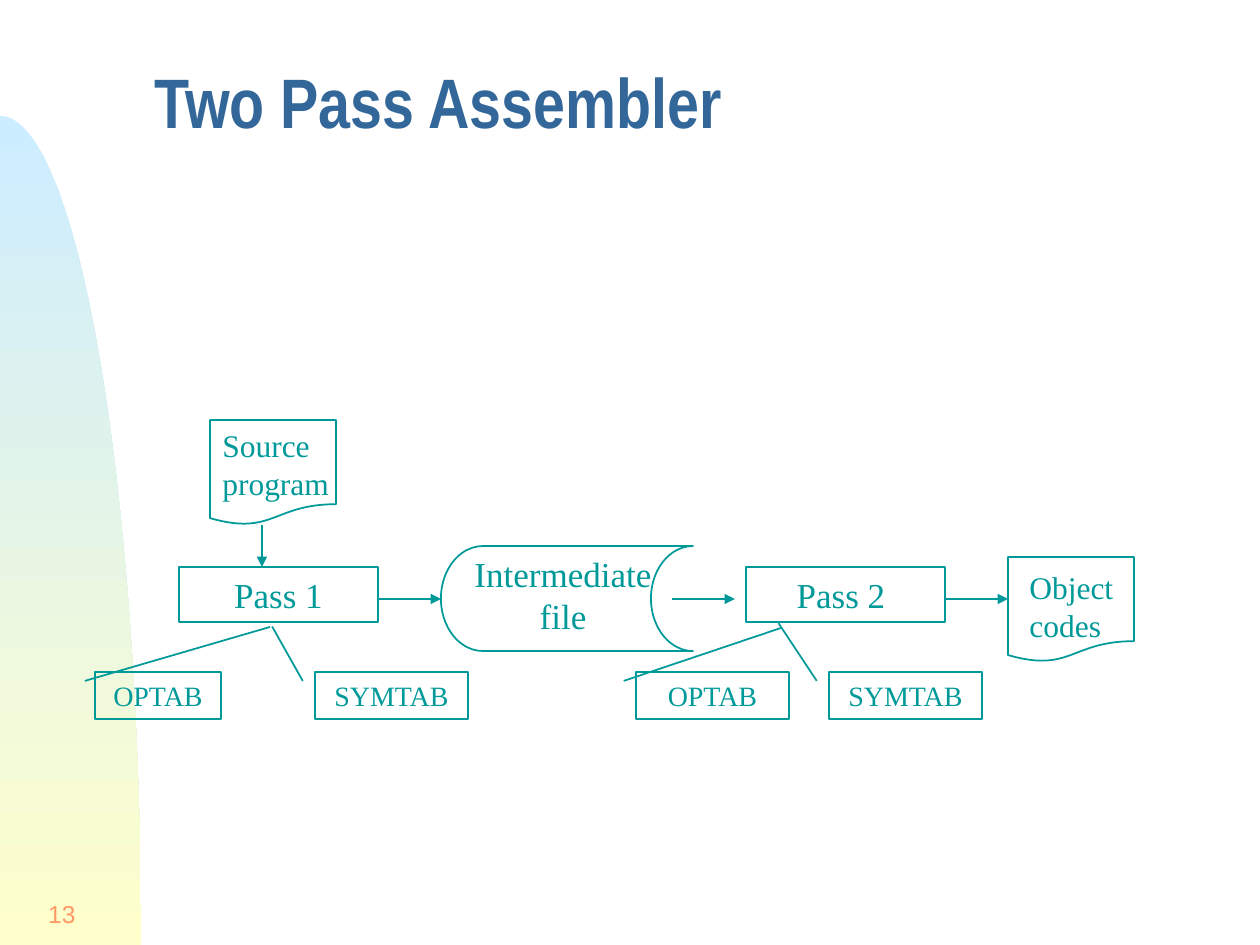
"""Build the slide on the two pass assembler as a flow of files and passes."""
from dataclasses import dataclass
from math import cos, pi, sin
from typing import NamedTuple

from pptx import Presentation
from pptx.dml.color import RGBColor
from pptx.enum.shapes import MSO_CONNECTOR, MSO_SHAPE
from pptx.enum.text import MSO_ANCHOR, PP_ALIGN
from pptx.oxml.ns import qn
from pptx.util import Pt
from lxml.etree import SubElement

SCALE = 914400 / 126
WIDTH, HEIGHT = 1260, 945
COLORS = {"teal": "009999", "blue": "336699", "peach": "FF9966",
          "sky": "CCECFF", "cream": "FFFFCC"}
SERIF = "Times New Roman"


@dataclass(frozen=True)
class Style:
    """How a block of text looks."""
    size: int
    font: str = SERIF
    color: str = "teal"
    bold: bool = False
    align: PP_ALIGN = PP_ALIGN.CENTER
    anchor: MSO_ANCHOR = MSO_ANCHOR.TOP
    wrap: bool = True
    before: float = 0
    spacing: float = 1.0


@dataclass(frozen=True)
class Label:
    """A text box with one line per paragraph."""
    x: int
    y: int
    w: int
    h: int
    lines: tuple[str, ...]
    style: Style


@dataclass(frozen=True)
class Box:
    """An outlined shape, with text if it has any."""
    kind: MSO_SHAPE
    x: int
    y: int
    w: int
    h: int
    text: str = ""
    style: Style | None = None
    bends: tuple[float, ...] = ()


class Arrow(NamedTuple):
    """A line with a head at its end."""
    x1: int
    y1: int
    x2: int
    y2: int


PASS = Style(20, before=12.5)
TABLE = Style(16)
NOTE = Style(18, align=PP_ALIGN.LEFT, wrap=False)
TITLE = Style(40, "Arial Narrow", "blue", True, PP_ALIGN.LEFT,
              MSO_ANCHOR.MIDDLE, spacing=0.7)
NUMBER = Style(14, "Arial", "peach", align=PP_ALIGN.RIGHT,
               anchor=MSO_ANCHOR.MIDDLE, wrap=False)

RECT, PAGE = MSO_SHAPE.RECTANGLE, MSO_SHAPE.FLOWCHART_DOCUMENT
STORE, CALL = MSO_SHAPE.FLOWCHART_STORED_DATA, MSO_SHAPE.LINE_CALLOUT_1

BOXES = [
    Box(RECT, 179, 567, 199, 55, "Pass 1", PASS),
    Box(RECT, 746, 567, 199, 55, "Pass 2 ", PASS),
    Box(STORE, 441, 546, 252, 105),
    Box(PAGE, 210, 420, 126, 105),
    Box(PAGE, 1008, 557, 126, 105),
    Box(CALL, 95, 672, 126, 47, "OPTAB", TABLE, (0.19, -0.08, -0.96, 1.39)),
    Box(CALL, 315, 672, 153, 47, "SYMTAB", TABLE, (0.19, -0.08, -0.97, -0.28)),
    Box(CALL, 829, 672, 153, 47, "SYMTAB", TABLE, (0.19, -0.08, -1.04, -0.33)),
    Box(CALL, 636, 672, 153, 47, "OPTAB", TABLE, (0.19, -0.08, -0.94, 0.95)),
]
LABELS = [
    Label(0, 882, 88, 63, ("13",), NUMBER),
    Label(142, 45, 1086, 132, ("Two Pass Assembler",), TITLE),
    Label(460, 546, 206, 97, ("Intermediate", "file"), Style(20, wrap=False)),
    Label(1017, 562, 117, 88, ("Object", "codes"), NOTE),
    Label(210, 420, 138, 88, ("Source", "program"), NOTE),
]
ARROWS = [Arrow(x, 599, x + 63, 599) for x in (378, 672, 945)]
ARROWS.append(Arrow(262, 525, 262, 567))


def emu(px: float) -> int:
    """Turn px into EMU."""
    return round(px * SCALE)


def tint(name: str) -> RGBColor:
    """Look up a colour by name."""
    return RGBColor.from_string(COLORS[name])


def write(frame, lines: tuple[str, ...], style: Style) -> None:
    """Fill a text frame, one paragraph per line."""
    frame.word_wrap = style.wrap
    frame.vertical_anchor = style.anchor
    for i, line in enumerate(lines):
        para = frame.paragraphs[0] if i == 0 else frame.add_paragraph()
        para.alignment = style.align
        para.space_before = Pt(style.before)
        para.line_spacing = style.spacing
        run = para.add_run()
        run.text = line
        run.font.name = style.font
        run.font.size = Pt(style.size)
        run.font.bold = style.bold
        run.font.color.rgb = tint(style.color)


def draw_hill(shapes, rx: int, ry: int, steps: int = 90) -> None:
    """Draw the shaded quarter oval at the left edge."""
    turns = [pi / 2 * i / steps for i in range(steps + 1)]
    points = [(emu(rx * sin(t)), emu(HEIGHT - ry * cos(t))) for t in turns]
    pen = shapes.build_freeform(*points[0])
    pen.add_line_segments(points[1:] + [(0, emu(HEIGHT))], close=True)
    hill = pen.convert_to_shape()
    hill.shadow.inherit = False
    hill.line.fill.background()
    hill.fill.gradient()
    hill.fill.gradient_angle = 270
    for stop, name in zip(hill.fill.gradient_stops, ("sky", "cream")):
        stop.color.rgb = tint(name)


def draw_box(shapes, box: Box) -> None:
    """Draw an outlined shape."""
    shape = shapes.add_shape(box.kind, *map(emu, (box.x, box.y, box.w, box.h)))
    shape.shadow.inherit = False
    shape.fill.background()
    shape.line.color.rgb = tint("teal")
    shape.line.width = Pt(1)
    for i, bend in enumerate(box.bends):
        shape.adjustments[i] = bend
    if box.style:
        write(shape.text_frame, (box.text,), box.style)


def draw_label(shapes, label: Label) -> None:
    """Draw a text box."""
    place = map(emu, (label.x, label.y, label.w, label.h))
    write(shapes.add_textbox(*place).text_frame, label.lines, label.style)


def draw_arrow(shapes, arrow: Arrow) -> None:
    """Draw a line with a head at its end."""
    line = shapes.add_connector(MSO_CONNECTOR.STRAIGHT, *map(emu, arrow))
    line.line.color.rgb = tint("teal")
    line.line.width = Pt(1)
    props = line._element.spPr
    SubElement(props.find(qn("a:ln")), qn("a:tailEnd"), type="triangle")
    SubElement(props, qn("a:effectLst"))


def main() -> None:
    """Build and save the deck."""
    deck = Presentation()
    deck.slide_width, deck.slide_height = emu(WIDTH), emu(HEIGHT)
    shapes = deck.slides.add_slide(deck.slide_layouts[6]).shapes
    draw_hill(shapes, 141, 829)
    for box in BOXES:
        draw_box(shapes, box)
    for label in LABELS:
        draw_label(shapes, label)
    for arrow in ARROWS:
        draw_arrow(shapes, arrow)
    deck.save("out.pptx")


if __name__ == "__main__":
    main()
